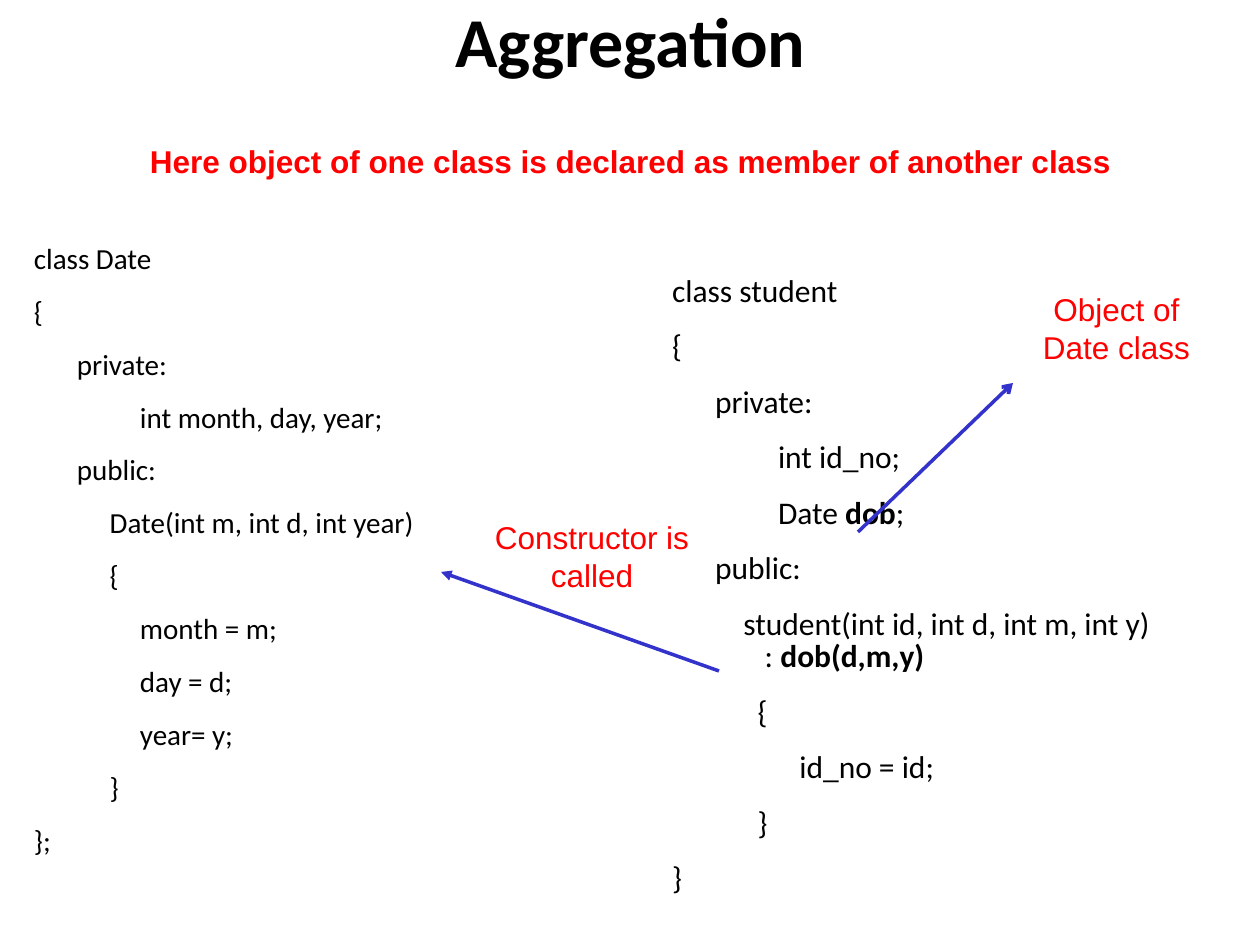
from lxml import etree
from pptx import Presentation
from pptx import util as u
from pptx.dml.color import RGBColor
from pptx.enum import shapes, text
from pptx.oxml.ns import qn

PX = u.Inches(1) / 126
BLACK = RGBColor(0x00, 0x00, 0x00)
RED = RGBColor(0xFF, 0x00, 0x00)
BLUE = RGBColor(0x33, 0x33, 0xCC)

DATE_CODE = """class Date
{
\tprivate:
\t\tint month, day, year;
\tpublic:
\t     Date(int m, int d, int year)
\t     {
\t\tmonth = m;
\t\tday = d;
\t\tyear= y;
\t     }
};"""

# Asterisks enclose the bold parts.
STUDENT_CODE = """class student
{
\tprivate:
\t\tint id_no;
\t\tDate *dob*;
\tpublic:
\t    student(int id, int d, int m, int y)\v       : *dob(d,m,y)*
\t      {
\t\t   id_no = id;
\t      }
}"""


def px(*lengths):
    return [u.Emu(round(length * PX)) for length in lengths]


def format_box(shape, box, margins, anchor):
    """Place a text shape and set its frame; margins run left, top, right, bottom."""
    shape.left, shape.top, shape.width, shape.height = px(*box)
    frame = shape.text_frame
    frame.word_wrap = True
    frame.auto_size = text.MSO_AUTO_SIZE.NONE
    frame.vertical_anchor = anchor
    sides = ("left", "top", "right", "bottom")
    for side, margin in zip(sides, px(*margins)):
        setattr(frame, f"margin_{side}", margin)
    return frame


presentation = Presentation()
presentation.slide_width, presentation.slide_height = px(1260, 945)
slide = presentation.slides.add_slide(presentation.slide_layouts.get_by_name("Two Content"))
title, date_body, student_body = list(slide.placeholders)[:3]
for placeholder in list(slide.placeholders)[3:]:
    placeholder.element.getparent().remove(placeholder.element)

# Title
frame = format_box(title, (74, -20, 1113, 126), (11, 6, 11, 6), text.MSO_ANCHOR.MIDDLE)
frame.text = "Aggregation"
paragraph = frame.paragraphs[0]
paragraph.alignment = text.PP_ALIGN.CENTER
paragraph.line_spacing = 0.97
title_font = {"name": "Calibri", "size": u.Pt(40), "bold": True}
for name, value in title_font.items():
    setattr(paragraph.font, name, value)
paragraph.font.color.rgb = BLACK

# Code listings
listings = [
    (date_body, (34, 224, 546, 630), 16.6, DATE_CODE),
    (student_body, (672, 255, 588, 630), 18, STUDENT_CODE),
]
code_spacing = {"line_spacing": 0.87, "space_before": u.Pt(0), "space_after": u.Pt(12.9)}
code_indent = px(43)[0]
for body, box, size, code in listings:
    frame = format_box(body, box, (0, 21, 0, 0), text.MSO_ANCHOR.TOP)
    for index, line in enumerate(code.split("\n")):
        paragraph = frame.add_paragraph() if index else frame.paragraphs[0]
        properties = paragraph._p.get_or_add_pPr()
        properties.set("marL", str(code_indent))
        properties.set("indent", str(-code_indent))
        etree.SubElement(properties, qn("a:buNone"))
        for name, value in code_spacing.items():
            setattr(paragraph, name, value)
        for part_index, part in enumerate(line.split("*")):
            for break_index, piece in enumerate(part.split("\v")):
                if break_index:
                    paragraph.add_line_break()
                if piece:
                    run = paragraph.add_run()
                    run.text = piece
                    run.font.name = "Calibri"
                    run.font.size = u.Pt(size)
                    run.font.bold = part_index % 2 == 1
                    run.font.color.rgb = BLACK

# Red notes
notes = [
    ("Constructor is called", (471, 512, 242, 88), 13, text.PP_ALIGN.CENTER, False),
    ("Object of Date class", (1017, 284, 199, 88), 13, text.PP_ALIGN.CENTER, False),
    ("Here object of one class is declared as member of another class",
     (74, 136, 1070, 50), 76, text.PP_ALIGN.LEFT, True),
]
for wording, box, left_margin, alignment, bold in notes:
    note = slide.shapes.add_textbox(*px(*box))
    frame = format_box(note, box, (left_margin, 6, 13, 6), text.MSO_ANCHOR.TOP)
    frame.text = wording
    paragraph = frame.paragraphs[0]
    paragraph.alignment = alignment
    for name, value in {"name": "Arial", "size": u.Pt(18), "bold": bold}.items():
        setattr(paragraph.font, name, value)
    paragraph.font.color.rgb = RED

# Arrows from the code to the notes
arrows = [
    ((719, 671, 441, 572), "triangle"),
    ((858, 532, 1013, 383), "arrow"),
]
for ends, head in arrows:
    arrow = slide.shapes.add_connector(shapes.MSO_CONNECTOR.STRAIGHT, *px(*ends))
    arrow.line.color.rgb = BLUE
    arrow.line.width = u.Pt(2)
    etree.SubElement(arrow.line._get_or_add_ln(), qn("a:tailEnd"), type=head)
    etree.SubElement(arrow._element.spPr, qn("a:effectLst"))

presentation.save("out.pptx")
